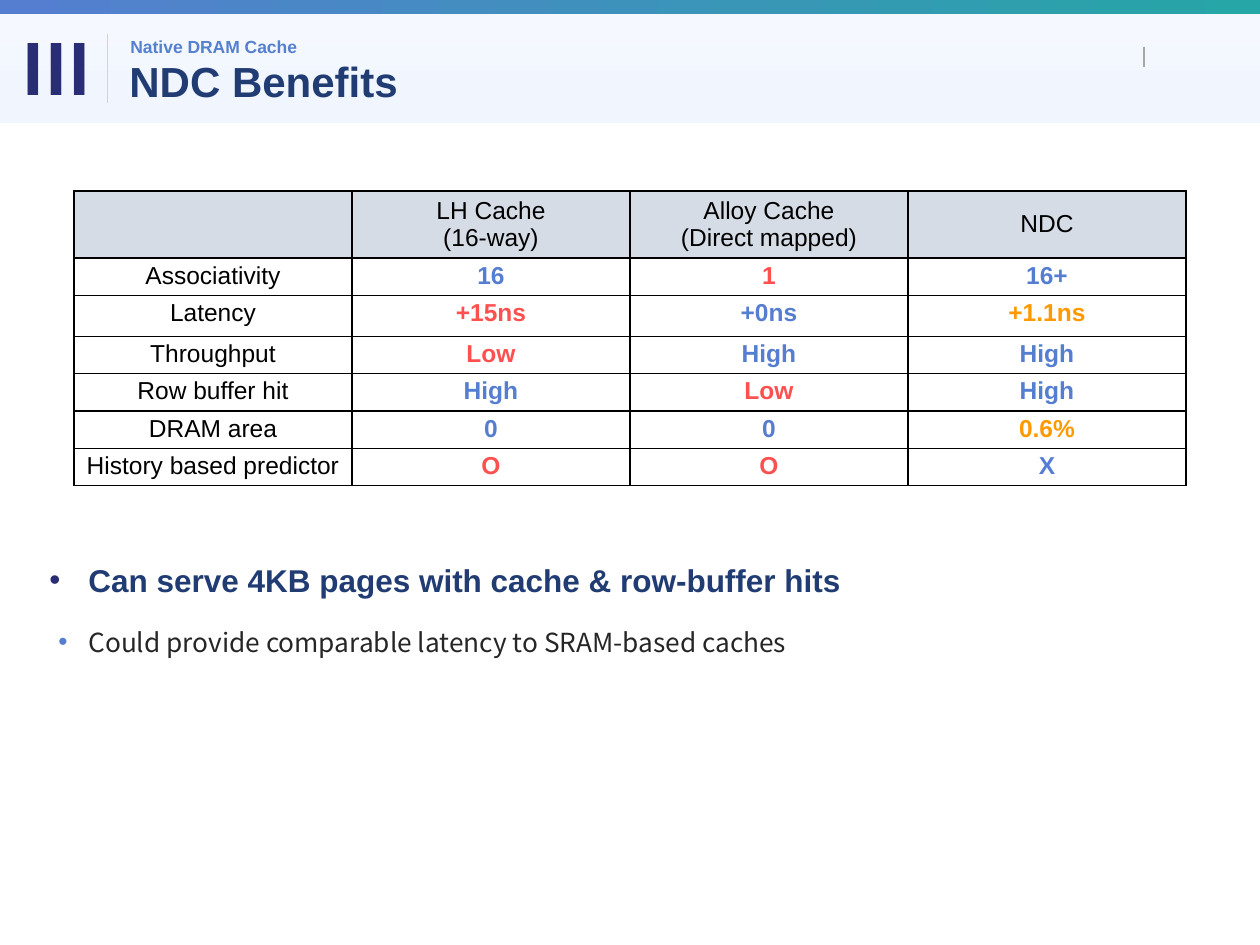
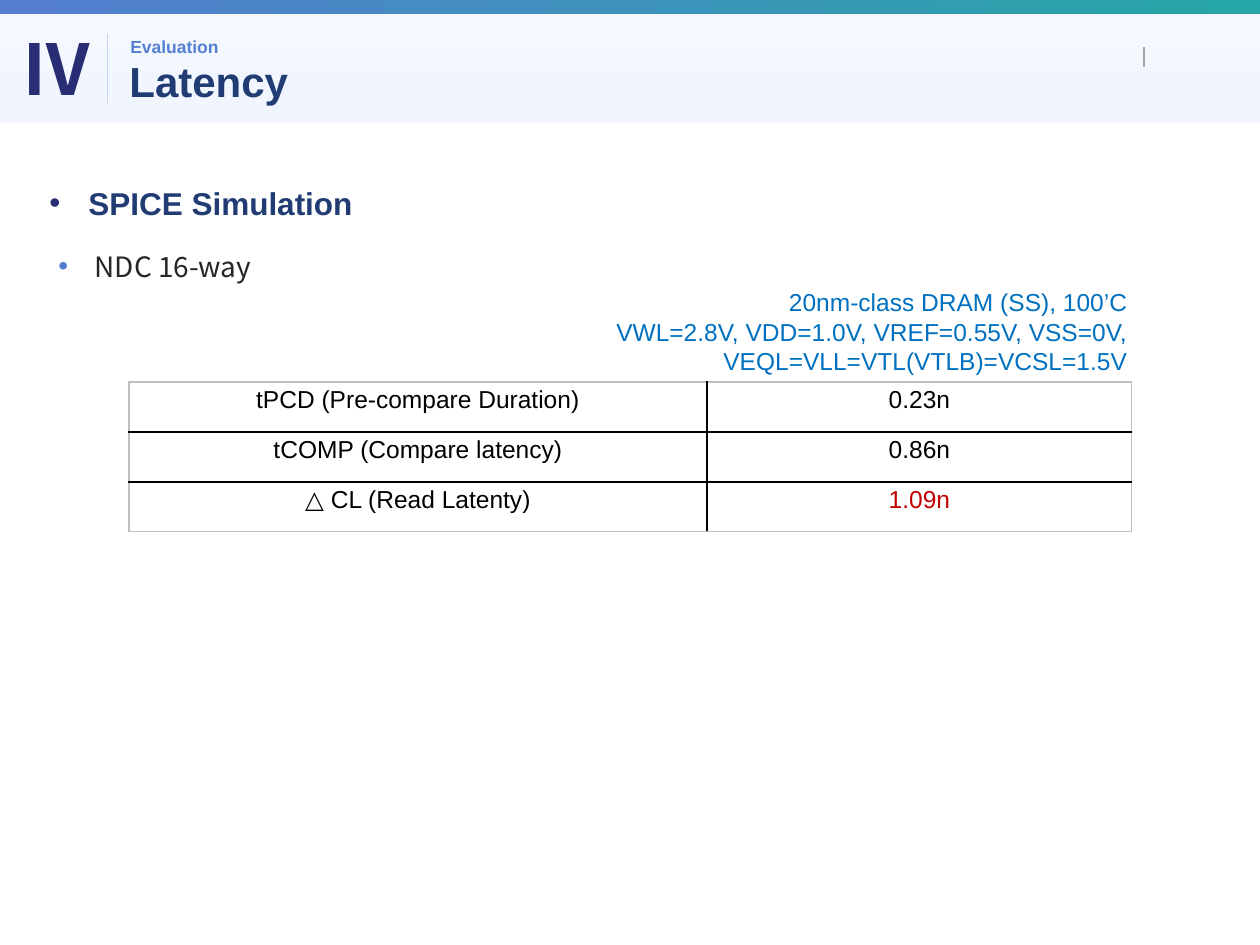
import dataclasses
import typing

import lxml.etree
import pptx
import pptx.dml.color
import pptx.enum.shapes
import pptx.enum.text
import pptx.oxml.ns
import pptx.util

# Shared look
PPI = 126
WIDE, HIGH = 1260, 945
SANS, CJK = "Arial", "Noto Sans CJK KR"
NAVY, DEEP, BLUE, TEAL = "203C73", "292D73", "557ED0", "26A6A6"
BLACK, GREY, DARK = "000000", "BFBFBF", "262626"
GOOD, BAD, FAIR = BLUE, "FF5050", "FF9900"
ALIGN = pptx.enum.text.PP_ALIGN
ANCHOR = pptx.enum.text.MSO_ANCHOR
Box = tuple[int, int, int, int]
Edge = tuple[str, float]


@dataclasses.dataclass
class Band:
    box: Box
    stops: list[tuple[float, str]]
    angle: int


@dataclasses.dataclass
class Rule:
    x: int
    top: int
    end: int
    color: str
    width: float


@dataclasses.dataclass
class Cell:
    text: str
    color: str = BLACK
    bold: bool = False
    fill: str = ""


@dataclasses.dataclass
class Grid:
    left: int
    top: int
    cols: list[int]
    rows: list[int]
    cells: list[list[Cell]]
    inner: Edge
    outer: Edge
    head: Edge


BANDS = [
    Band((0, 14, WIDE, 109), [(0.07, "F5F8FE"), (0.73, "F0F5FE")], 270),
    Band((0, 0, WIDE, 14), [(0, BLUE), (1, TEAL)], 0),
]
RULES = [Rule(107, 34, 103, "C6D4EF", 0.5), Rule(1144, 47, 67, "A6A6A6", 0.75)]


# Helpers
def px(n: int) -> int:
    return round(n * 914400 / PPI)


def rgb(code: str) -> pptx.dml.color.RGBColor:
    return pptx.dml.color.RGBColor.from_string(code)


def node(parent: typing.Any, tag: str, **attrs: str) -> typing.Any:
    item = lxml.etree.SubElement(parent, pptx.oxml.ns.qn(tag))
    for key, value in attrs.items():
        item.set(key, value)
    return item


def write(frame: typing.Any, text: str, *, size: float, color: str = BLACK,
          font: str = SANS, bold: bool = False, align: typing.Any = ALIGN.LEFT,
          line: float = 1.0, before: int = 0, after: int = 0, level: int = 0,
          dot: str = "", indent: int = 0, hang: int = 0) -> None:
    for part in text.split("\n"):
        para = frame.paragraphs[0]
        if para.runs:
            para = frame.add_paragraph()
        para.alignment, para.level, para.line_spacing = align, level, line
        para.space_before = pptx.util.Pt(before)
        para.space_after = pptx.util.Pt(after)
        if dot:
            props = para._p.get_or_add_pPr()
            props.set("marL", str(px(indent)))
            props.set("indent", str(-px(hang)))
            node(node(props, "a:buClr"), "a:srgbClr", val=dot)
            node(props, "a:buFont", typeface=SANS)
            node(props, "a:buChar", char="•")
        run = para.add_run()
        run.text = part
        run.font.size = pptx.util.Pt(size)
        run.font.bold = bold
        run.font.color.rgb = rgb(color)
        run.font.name = font
        node(run._r.get_or_add_rPr(), "a:ea", typeface=CJK)


def frame(slide: typing.Any, box: Box, anchor: typing.Any = ANCHOR.TOP) -> typing.Any:
    area = slide.shapes.add_textbox(*map(px, box)).text_frame
    area.word_wrap = True
    area.vertical_anchor = anchor
    return area


def band(slide: typing.Any, spec: Band) -> None:
    kind = pptx.enum.shapes.MSO_SHAPE.RECTANGLE
    shape = slide.shapes.add_shape(kind, *map(px, spec.box))
    shape.shadow.inherit = False
    shape.line.fill.background()
    shape.fill.gradient()
    shape.fill.gradient_angle = spec.angle
    for stop, (place, color) in zip(shape.fill.gradient_stops, spec.stops):
        stop.position = place
        stop.color.rgb = rgb(color)


def rule(slide: typing.Any, spec: Rule) -> None:
    kind = pptx.enum.shapes.MSO_CONNECTOR.STRAIGHT
    line = slide.shapes.add_connector(kind, *map(px, (spec.x, spec.top, spec.x, spec.end)))
    line.line.color.rgb = rgb(spec.color)
    line.line.width = pptx.util.Pt(spec.width)
    node(line._element.spPr, "a:effectLst")


def border(cell: typing.Any, edges: dict[str, Edge]) -> None:
    props = cell._tc.get_or_add_tcPr()
    for spot, (side, (color, width)) in enumerate(edges.items()):
        line = node(props, f"a:ln{side}", w=str(pptx.util.Pt(width)))
        node(node(line, "a:solidFill"), "a:srgbClr", val=color)
        props.insert(spot, line)


def table(slide: typing.Any, grid: Grid) -> None:
    rows, cols = len(grid.rows), len(grid.cols)
    box = (grid.left, grid.top, sum(grid.cols), sum(grid.rows))
    tab = slide.shapes.add_table(rows, cols, *map(px, box)).table
    tab.first_row = tab.horz_banding = False
    for col, width in zip(tab.columns, grid.cols):
        col.width = px(width)
    for row, height in zip(tab.rows, grid.rows):
        row.height = px(height)
    for r, line in enumerate(grid.cells):
        for c, item in enumerate(line):
            cell = tab.cell(r, c)
            cell.margin_left = cell.margin_right = px(9)
            cell.margin_top = cell.margin_bottom = px(4)
            if item.fill:
                cell.fill.solid()
                cell.fill.fore_color.rgb = rgb(item.fill)
                cell.vertical_anchor = ANCHOR.MIDDLE
            else:
                cell.fill.background()
            if item.text:
                write(cell.text_frame, item.text, size=14, color=item.color,
                      bold=item.bold, align=ALIGN.CENTER)
            level = {0: grid.outer, 1: grid.head, rows: grid.outer}
            border(cell, {
                "L": grid.inner if c else grid.outer,
                "R": grid.inner if c < cols - 1 else grid.outer,
                "T": level.get(r, grid.inner),
                "B": level.get(r + 1, grid.inner),
            })


def points(slide: typing.Any, top: int, main: str, sub: str, size: int) -> None:
    area = frame(slide, (37, top, 1189, 127))
    write(area, main, size=18, color=NAVY, bold=True, line=1.2, before=9,
          after=9, dot=DEEP, indent=39, hang=39)
    write(area, sub, size=size, color=DARK, font=CJK, line=1.2, before=3,
          after=4, level=1, dot=BLUE, indent=39, hang=30)


def page(deck: typing.Any, mark: str, part: str, title: str) -> typing.Any:
    slide = deck.slides.add_slide(deck.slide_layouts[6])
    for item in BANDS:
        band(slide, item)
    for item in RULES:
        rule(slide, item)
    write(frame(slide, (117, 55, 1021, 58), ANCHOR.MIDDLE), title, size=24,
          color=NAVY, bold=True, line=0.9)
    write(frame(slide, (118, 32, 1021, 32), ANCHOR.MIDDLE), part, size=10,
          color="5580D0", bold=True, line=0.9)
    write(frame(slide, (9, 19, 89, 97)), mark, size=40, color=DEEP, font=CJK, bold=True)
    return slide


# Slides
def gains(deck: typing.Any) -> None:
    slide = page(deck, "Ⅲ", "Native DRAM Cache", "NDC Benefits")
    points(slide, 547, "Can serve 4KB pages with cache & row-buffer hits",
           "Could provide comparable latency to SRAM-based caches", 15)
    heads = ["", "LH Cache\n(16-way)", "Alloy Cache\n(Direct mapped)", "NDC"]
    facts = [
        ("Associativity", ("16", GOOD), ("1", BAD), ("16+", GOOD)),
        ("Latency", ("+15ns", BAD), ("+0ns", GOOD), ("+1.1ns", FAIR)),
        ("Throughput", ("Low", BAD), ("High", GOOD), ("High", GOOD)),
        ("Row buffer hit", ("High", GOOD), ("Low", BAD), ("High", GOOD)),
        ("DRAM area", ("0", GOOD), ("0", GOOD), ("0.6%", FAIR)),
        ("History based predictor", ("O", BAD), ("O", BAD), ("X", GOOD)),
    ]
    cells = [[Cell(text, fill="D6DCE5") for text in heads]]
    for name, *marks in facts:
        cells.append([Cell(name)] + [Cell(text, hue, True) for text, hue in marks])
    thin = (BLACK, 0.75)
    table(slide, Grid(74, 191, [278] * 4, [65, 37, 41] + [37] * 4, cells,
                      inner=thin, outer=thin, head=(BLACK, 1.5)))


def delay(deck: typing.Any) -> None:
    slide = page(deck, "Ⅳ", "Evaluation", "Latency")
    points(slide, 170, "SPICE Simulation", " NDC 16-way", 16)
    write(frame(slide, (570, 281, 570, 102)),
          "20nm-class DRAM (SS), 100’C\n"
          "VWL=2.8V, VDD=1.0V, VREF=0.55V, VSS=0V, VEQL=VLL=VTL(VTLB)=VCSL=1.5V",
          size=14, color="0070C0", align=ALIGN.RIGHT)
    cells = [
        [Cell("tPCD (Pre-compare Duration)"), Cell("0.23n")],
        [Cell("tCOMP (Compare latency)"), Cell("0.86n")],
        [Cell("△ CL (Read Latenty)"), Cell("1.09n", "C00000")],
    ]
    table(slide, Grid(129, 382, [578, 425], [50] * 3, cells,
                      inner=(BLACK, 1), outer=(GREY, 0.75), head=(BLACK, 1)))


def main() -> None:
    deck = pptx.Presentation()
    deck.slide_width, deck.slide_height = px(WIDE), px(HIGH)
    gains(deck)
    delay(deck)
    deck.save("out.pptx")


if __name__ == "__main__":
    main()
